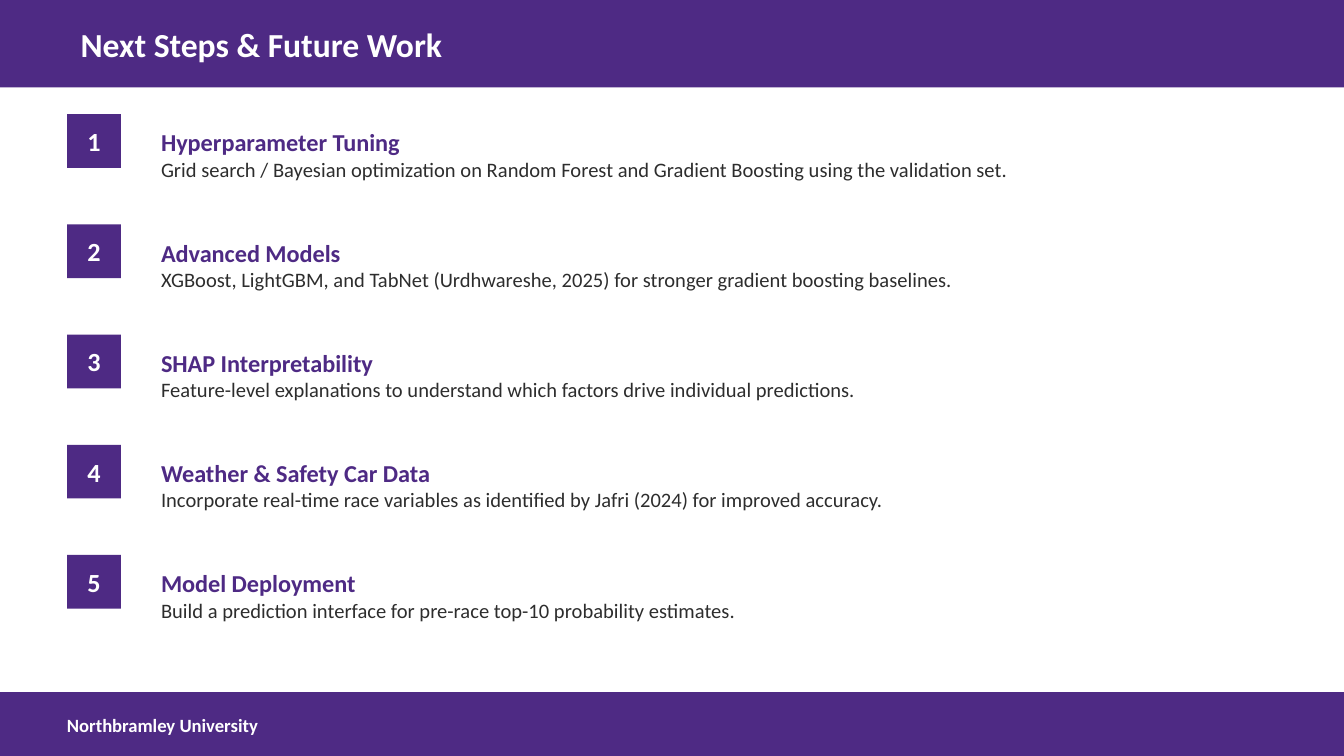
from dataclasses import dataclass

from pptx import Presentation
from pptx.dml.color import RGBColor
from pptx.enum.shapes import MSO_SHAPE
from pptx.enum.text import MSO_ANCHOR, MSO_AUTO_SIZE, PP_ALIGN
from pptx.util import Inches, Pt

RECT = MSO_SHAPE.RECTANGLE
MIDDLE = MSO_ANCHOR.MIDDLE
NO_FIT = MSO_AUTO_SIZE.NONE
LEFT, CENTER = PP_ALIGN.LEFT, PP_ALIGN.CENTER


@dataclass(frozen=True)
class Theme:
    font: str = "Calibri"
    purple: RGBColor = RGBColor(0x4E, 0x2A, 0x84)
    white: RGBColor = RGBColor(0xFF, 0xFF, 0xFF)
    ink: RGBColor = RGBColor(0x2D, 0x2D, 0x2D)
    title: int = 18
    number: int = 14
    head: int = 13
    body: int = 11
    foot: int = 10


THEME = Theme()
WIDTH = 10
HEIGHT = WIDTH * 9 / 16
TOP, STEP = 0.85, 0.82

STEPS = [
    ("Hyperparameter Tuning",
     "Grid search / Bayesian optimization on Random Forest and Gradient Boosting using the validation set."),
    ("Advanced Models",
     "XGBoost, LightGBM, and TabNet (Urdhwareshe, 2025) for stronger gradient boosting baselines."),
    ("SHAP Interpretability",
     "Feature-level explanations to understand which factors drive individual predictions."),
    ("Weather & Safety Car Data",
     "Incorporate real-time race variables as identified by Jafri (2024) for improved accuracy."),
    ("Model Deployment",
     "Build a prediction interface for pre-race top-10 probability estimates."),
]


def apply(target, values):
    for name, value in values.items():
        setattr(target, name, value)


def place(*box):
    return [Inches(value) for value in box]


def write(shape, lines, align=LEFT):
    frame = shape.text_frame
    apply(frame, {"word_wrap": True, "auto_size": NO_FIT, "vertical_anchor": MIDDLE})
    for index, (text, size, color, bold) in enumerate(lines):
        para = frame.add_paragraph() if index else frame.paragraphs[0]
        para.alignment = align
        run = para.add_run()
        run.text = text
        apply(run.font, {"name": THEME.font, "size": Pt(size), "bold": bold})
        run.font.color.rgb = color


def add_block(slide, *box):
    block = slide.shapes.add_shape(RECT, *place(*box))
    block.shadow.inherit = False
    block.fill.solid()
    block.fill.fore_color.rgb = THEME.purple
    block.line.fill.background()


def add_text(slide, box, lines, align=LEFT):
    write(slide.shapes.add_textbox(*place(*box)), lines, align)


def add_title(slide, text):
    add_block(slide, 0, 0, WIDTH, 0.65)
    title = slide.shapes.title
    left, top, width, height = place(0.5, 0.05, 9, 0.55)
    apply(title, {"left": left, "top": top, "width": width, "height": height})
    write(title, [(text, THEME.title, THEME.white, True)])
    slide.shapes.element.append(title.element)


def add_footer(slide, text):
    add_block(slide, 0, 5.15, WIDTH, HEIGHT - 5.15)
    add_text(slide, (0.4, 5.17, 4, 0.45), [(text, THEME.foot, THEME.white, True)])


def add_step(slide, number, head, body):
    top = TOP + (number - 1) * STEP
    badge = (0.5, top, 0.4, 0.4)
    add_block(slide, *badge)
    add_text(slide, badge, [(str(number), THEME.number, THEME.white, True)], CENTER)
    add_text(slide, (1.1, top - 0.05, 8.3, 0.7), [
        (head, THEME.head, THEME.purple, True),
        (body, THEME.body, THEME.ink, False),
    ])


def main():
    deck = Presentation()
    apply(deck, {"slide_width": Inches(WIDTH), "slide_height": Inches(HEIGHT)})
    slide = deck.slides.add_slide(deck.slide_layouts[5])
    slide.background.fill.solid()
    slide.background.fill.fore_color.rgb = THEME.white
    add_title(slide, "Next Steps & Future Work")
    add_footer(slide, "Northbramley University")
    for number, (head, body) in enumerate(STEPS, 1):
        add_step(slide, number, head, body)
    deck.save("out.pptx")


if __name__ == "__main__":
    main()
